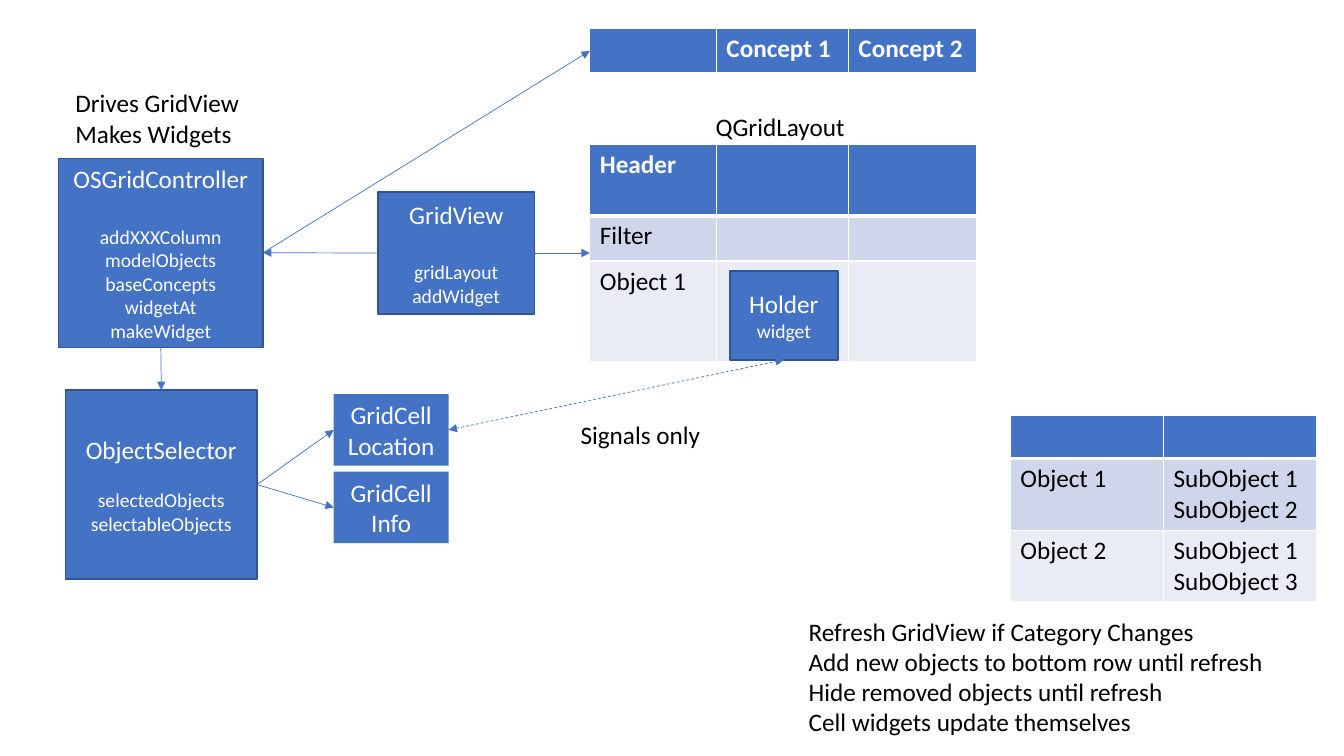
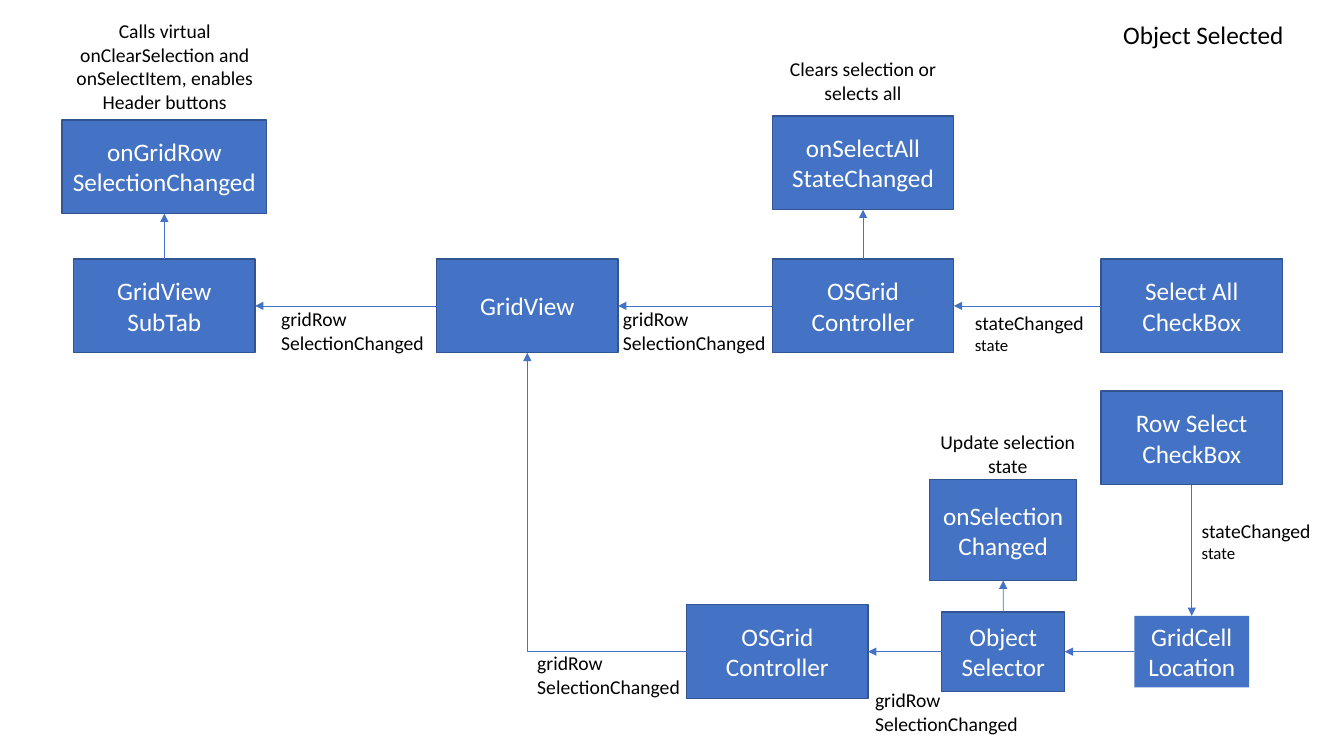
from dataclasses import dataclass
from typing import Any

from lxml import etree
from pptx import Presentation
from pptx import util as u
from pptx.dml.color import RGBColor
from pptx.enum import dml, shapes, text
from pptx.oxml.ns import qn

COLORS = {
    "accent": "4472C4",
    "outline": "325491",
    "ink": "000000",
    "paper": "FFFFFF",
    "band_dark": "CFD5EA",
    "band_light": "E9EBF5",
}
GRID = u.Inches(0.1)
HEADING, DETAIL, MINOR = 18, 14, 12
TOP, LEFT, BOTTOM, RIGHT = range(4)
STEP_WIDTH, STEP_HEIGHT = 18, 9.3
CELL_WIDTH, CELL_HEIGHT = 11.4, 7.1
FRAME = {"word_wrap": True, "auto_size": text.MSO_AUTO_SIZE.NONE}
LABEL = FRAME | {"vertical_anchor": text.MSO_ANCHOR.TOP}
BOX = FRAME | {"vertical_anchor": text.MSO_ANCHOR.MIDDLE}
CENTER, START = text.PP_ALIGN.CENTER, text.PP_ALIGN.LEFT


def apply(target, values):
    """Set every attribute in a dict of format values."""
    for name, value in values.items():
        setattr(target, name, value)


def rgb(name):
    """Return a named colour."""
    return RGBColor.from_string(COLORS[name])


def write(frame, lines, color="ink", align=START, size=HEADING,
          details=(), detail_size=DETAIL, gap=0, bold=False):
    """Write main lines, then smaller detail lines after a gap."""
    entries = [(line, size, 0) for line in lines]
    entries += [(line, detail_size, 0 if i else gap) for i, line in enumerate(details)]
    for i, (line, points, before) in enumerate(entries):
        paragraph = frame.paragraphs[0] if i == 0 else frame.add_paragraph()
        paragraph.text = line
        apply(paragraph, {"alignment": align, "space_before": u.Pt(before)})
        for run in paragraph.runs:
            apply(run.font, {"name": "Calibri", "size": u.Pt(points), "bold": bold})
            run.font.color.rgb = rgb(color)


def border_cell(cell, bottom):
    """Give a cell white borders with its own bottom width."""
    properties = cell._tc.get_or_add_tcPr()
    widths = {"lnL": 1, "lnR": 1, "lnT": 1, "lnB": bottom}
    for position, (side, width) in enumerate(widths.items()):
        edge = etree.Element(qn("a:" + side), w=str(u.Pt(width)))
        paint = etree.SubElement(edge, qn("a:solidFill"))
        etree.SubElement(paint, qn("a:srgbClr"), val=COLORS["paper"])
        properties.insert(position, edge)


@dataclass
class Region:
    """A part of a slide whose contents are measured from its corner."""

    slide: Any
    left: float
    top: float

    def place(self, x, y, width, height):
        """Turn grid units within the region into slide lengths."""
        return [int(n * GRID) for n in (self.left + x, self.top + y, width, height)]

    def move(self, holder, *spot):
        """Move a placeholder into the region."""
        apply(holder, dict(zip(("left", "top", "width", "height"), self.place(*spot))))
        apply(holder.text_frame, LABEL)

    def box(self, x, y, width, height, lines, outlined=True, **style):
        """Add a blue box with centred white text."""
        box = self.slide.shapes.add_shape(
            shapes.MSO_SHAPE.RECTANGLE, *self.place(x, y, width, height))
        box.shadow.inherit = False
        box.fill.solid()
        box.fill.fore_color.rgb = rgb("accent")
        if outlined:
            box.line.color.rgb = rgb("outline")
            box.line.width = u.Pt(1)
        else:
            box.line.fill.background()
        apply(box.text_frame, BOX)
        write(box.text_frame, lines, "paper", CENTER, **style)
        return box

    def step(self, x, y, *lines):
        """Add a box of the common step size."""
        return self.box(x, y, STEP_WIDTH, STEP_HEIGHT, lines)

    def cell(self, x, y, *lines):
        """Add a small box without an outline."""
        return self.box(x, y, CELL_WIDTH, CELL_HEIGHT, lines, outlined=False)

    def label(self, x, y, width, height, *lines, **style):
        """Add plain text."""
        label = self.slide.shapes.add_textbox(*self.place(x, y, width, height))
        apply(label.text_frame, LABEL)
        write(label.text_frame, lines, **style)

    def signal(self, x, y):
        """Label a link with the row selection signal."""
        self.label(x, y, 17.1, 5.7, "gridRow", "SelectionChanged", size=DETAIL)

    def state(self, x, y, width):
        """Label a link with the check box signal."""
        self.label(x, y, width, 5.4, "stateChanged", size=DETAIL,
                   details=["state"], detail_size=MINOR)

    def table(self, x, y, widths, heights, rows):
        """Add a table with a blue first row and banded rows below."""
        frame = self.slide.shapes.add_table(
            len(rows), len(widths), *self.place(x, y, sum(widths), sum(heights)))
        for column, width in zip(frame.table.columns, widths):
            column.width = int(width * GRID)
        for r, (row, height) in enumerate(zip(rows, heights)):
            frame.table.rows[r].height = int(height * GRID)
            fill = "accent" if r == 0 else ("band_light", "band_dark")[r % 2]
            for c, value in enumerate(row):
                cell = frame.table.cell(r, c)
                cell.fill.solid()
                cell.fill.fore_color.rgb = rgb(fill)
                border_cell(cell, 1 if r else 3)
                write(cell.text_frame, [value], "ink" if r else "paper", bold=r == 0)
        return frame


def port(part, side):
    """Return the middle of one side of a part."""
    shares = {TOP: (0.5, 0), LEFT: (0, 0.5), BOTTOM: (0.5, 1), RIGHT: (1, 0.5)}
    across, down = shares[side]
    return int(part.left + part.width * across), int(part.top + part.height * down)


def link(slide, source, source_side, target, target_side, both=False, bent=False):
    """Draw an arrow between the sides of two parts."""
    kind = shapes.MSO_CONNECTOR.ELBOW if bent else shapes.MSO_CONNECTOR.STRAIGHT
    arrow = slide.shapes.add_connector(
        kind, *port(source, source_side), *port(target, target_side))
    arrow.begin_connect(source, source_side)
    if not target.has_table:
        arrow.end_connect(target, target_side)
    arrow.line.color.rgb = rgb("accent")
    arrow.line.width = u.Pt(0.5)
    if both:
        arrow.line.dash_style = dml.MSO_LINE.DASH
    properties = arrow.element.spPr
    outline = properties.find(qn("a:ln"))
    for end in ("headEnd", "tailEnd") if both else ("tailEnd",):
        etree.SubElement(outline, qn("a:" + end), type="triangle")
    etree.SubElement(properties, qn("a:effectLst"))
    if bent:
        properties.find(qn("a:prstGeom")).set("prst", "bentConnector2")
        turn = properties.find(qn("a:xfrm"))
        for flip in ("flipH", "flipV"):
            turn.attrib.pop(flip, None)
        turn.set("rot", "10800000")


def controller_region(region):
    """Build the controller, its selector and the grid cells."""
    region.label(0.7, 0, 18.4, 7.1, "Drives GridView", "Makes Widgets")
    controller = region.box(
        0, 7.5, 20.3, 18.75, ["OSGridController"], gap=22,
        details=["addXXXColumn", "modelObjects", "baseConcepts", "widgetAt", "makeWidget"])
    selector = region.box(0.7, 30.5, 19, 18.75, ["ObjectSelector"], gap=17,
                          details=["selectedObjects", "selectableObjects"])
    location, info = [region.cell(27.3, 30.9 + 7.7 * i, "GridCell", name)
                      for i, name in enumerate(("Location", "Info"))]
    link(region.slide, controller, BOTTOM, selector, TOP)
    for cell in (location, info):
        link(region.slide, selector, RIGHT, cell, LEFT)
    return controller, location


def view_region(region, controller, location):
    """Build the grid view with its header and layout tables."""
    widths = [12.55, 13.1, 12.75]
    header = region.table(21, 0, widths, [4.5], [["", "Concept 1", "Concept 2"]])
    layout = region.table(21, 11.5, widths, [7.1, 4.5, 10],
                          [["Header", "", ""], ["Filter", "", ""], ["Object 1", "", ""]])
    region.label(32.5, 7.8, 18.4, 4, "QGridLayout")
    view = region.box(0, 16.25, 15.5, 12.1, ["GridView"], gap=22,
                      details=["gridLayout", "addWidget"])
    holder = region.box(34.9, 24.1, 10.7, 8.8, ["Holder"], details=["widget"])
    link(region.slide, controller, RIGHT, header, LEFT)
    link(region.slide, view, LEFT, controller, RIGHT)
    link(region.slide, view, RIGHT, layout, LEFT)
    link(region.slide, location, RIGHT, holder, BOTTOM, both=True)
    region.label(19.1, 38.3, 14, 4, "Signals only")


def refresh_region(region, notes):
    """Build the object table and the refresh rules below it."""
    region.table(21, 0, [15.2, 15.2], [4.3, 7, 7],
                 [["", ""], ["Object 1", "SubObject 1\vSubObject 2"],
                  ["Object 2", "SubObject 1\vSubObject 3"]])
    region.move(notes, 0, 19.4, 50.1, 13.1)
    write(notes.text_frame, [
        "Refresh GridView if Category Changes",
        "Add new objects to bottom row until refresh",
        "Hide removed objects until refresh",
        "Cell widgets update themselves",
    ])
    for paragraph in notes.text_frame.paragraphs:
        properties = paragraph._p.get_or_add_pPr()
        for name in ("marL", "indent"):
            properties.set(name, "0")
        etree.SubElement(properties, qn("a:buNone"))


def select_all_region(region):
    """Build the flow that starts at the select-all check box."""
    row = 24.3
    subtab = region.step(1.1, row, "GridView SubTab")
    view = region.step(37.1, row, "GridView")
    controller = region.step(70.4, row, "OSGrid Controller")
    checkbox = region.step(103, row, "Select All", "CheckBox")
    row_changed = region.box(-0.05, 10.5, 20.3, STEP_HEIGHT, ["onGridRow SelectionChanged"])
    all_changed = region.step(70.4, 10.1, "onSelectAll", "StateChanged")
    chain = [checkbox, controller, view, subtab]
    for source, target in zip(chain, chain[1:]):
        link(region.slide, source, LEFT, target, RIGHT)
    for source, target in ((subtab, row_changed), (controller, all_changed)):
        link(region.slide, source, TOP, target, BOTTOM)
    region.label(-1.9, 0, 24.1, 10.4,
                 "Calls virtual onClearSelection and onSelectItem, enables Header buttons",
                 align=CENTER, size=DETAIL)
    region.label(70.4, 3.8, STEP_WIDTH, 5.7, "Clears selection or selects all",
                 align=CENTER, size=DETAIL)
    for x in (20.7, 54.6):
        region.signal(x, 28.6)
    region.state(89.5, 29, 14.5)
    return view


def row_select_region(region, view):
    """Build the flow that starts at a row check box."""
    checkbox = region.step(56.9, 0, "Row Select", "CheckBox")
    location = region.cell(60.2, 22.3, "GridCell", "Location")
    selector = region.box(41.1, 21.9, 12.2, 7.9, ["Object Selector"])
    controller = region.step(15.8, 21.2, "OSGrid Controller")
    changed = region.box(39.9, 8.8, 14.6, 10, ["onSelection Changed"])
    link(region.slide, checkbox, BOTTOM, location, TOP)
    link(region.slide, location, LEFT, selector, RIGHT)
    link(region.slide, selector, LEFT, controller, RIGHT)
    link(region.slide, selector, TOP, changed, BOTTOM)
    link(region.slide, controller, LEFT, view, BOTTOM, bent=True)
    region.label(39.9, 3.4, 15.5, 5.7, "Update selection state", align=CENTER, size=DETAIL)
    for x, y in ((0, 25.3), (33.5, 29)):
        region.signal(x, y)
    region.state(65.9, 12.2, 13)


def structure_slide(deck):
    """Build the slide showing how the grid classes relate."""
    slide = deck.slides.add_slide(deck.slide_layouts[1])
    title, notes = slide.placeholders
    title.element.getparent().remove(title.element)
    controller, location = controller_region(Region(slide, 5.8, 8.2))
    view_region(Region(slide, 37.5, 2.8), controller, location)
    refresh_region(Region(slide, 79.2, 41.2), notes)


def selection_slide(deck):
    """Build the slide showing the selection signals."""
    slide = deck.slides.add_slide(deck.slide_layouts[5])
    Region(slide, 110.4, 1.4).move(slide.shapes.title, 0, 0, 18.7, 4)
    write(slide.shapes.title.text_frame, ["Object Selected"])
    view = select_all_region(Region(slide, 6.2, 1.4))
    row_select_region(Region(slide, 52.3, 38.8), view)


def main():
    """Build and save the presentation."""
    deck = Presentation()
    apply(deck, {"slide_width": u.Inches(13.33), "slide_height": u.Inches(7.5)})
    structure_slide(deck)
    selection_slide(deck)
    deck.save("out.pptx")


if __name__ == "__main__":
    main()
